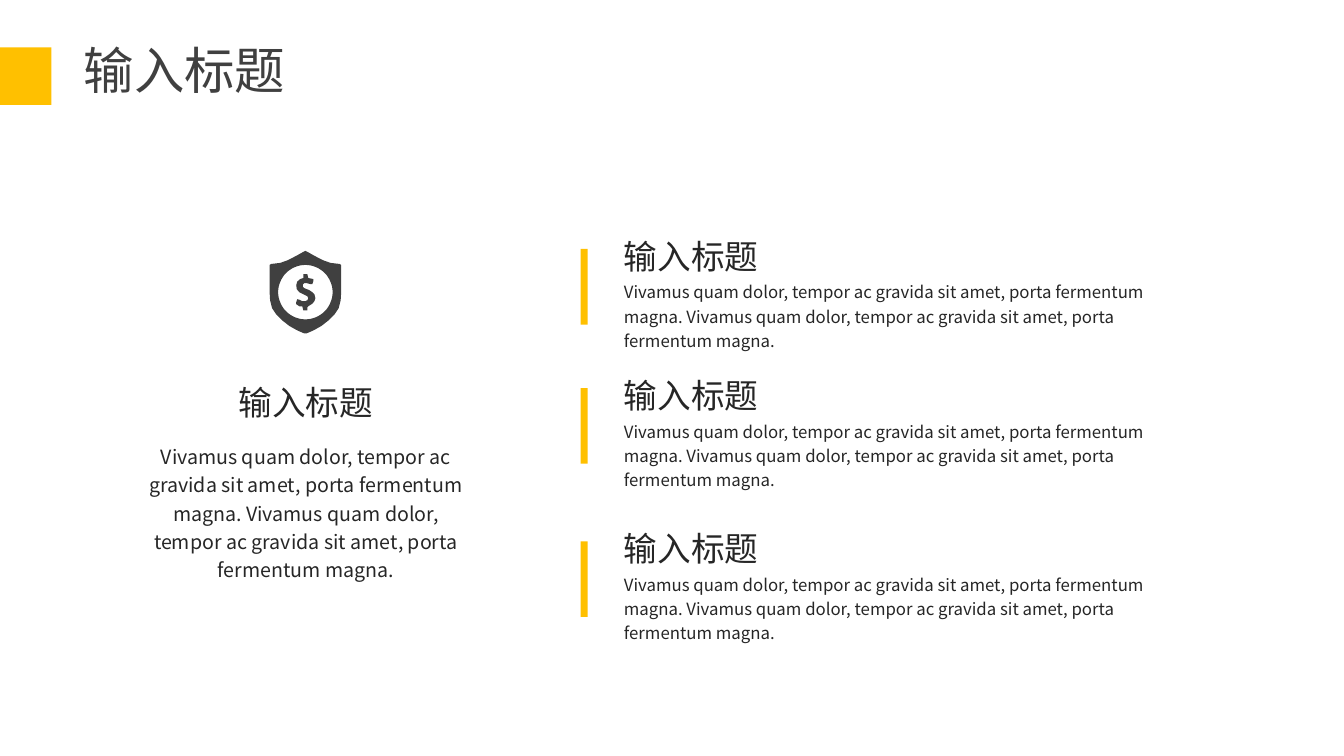
from math import cos, pi, sin

from lxml import etree
from pptx import Presentation
from pptx.dml.color import RGBColor
from pptx.enum import shapes, text
from pptx.oxml.ns import qn
from pptx.util import Inches, Pt

# Content
FONT = "Noto Sans CJK SC"
YELLOW, GREY, DARK = "FFC000", "404040", "262626"
HEADING = "输入标题"
SENTENCE = "Vivamus quam dolor, tempor ac gravida sit amet, porta fermentum magna."
BODY = f"{SENTENCE} {SENTENCE}"
ROWS = [(2.47, HEADING, BODY), (3.85, HEADING, BODY), (5.37, HEADING, BODY)]  # bar top, texts

# Icon outlines, in inches
SHIELD_CENTRE = 3.03
DISC_CENTRE, DISC_RADIUS = (3.03, 2.9), 0.27
SHIELD_RIGHT = [
    (3.03, 2.49), (3.05, 2.5), (3.12, 2.54), (3.21, 2.585), (3.28, 2.61), (3.37, 2.62),
    (3.385, 2.63), (3.385, 2.9), (3.38, 2.98), (3.36, 3.06), (3.32, 3.12), (3.26, 3.18),
    (3.19, 3.235), (3.11, 3.28), (3.04, 3.31)]
DOLLAR = [
    (3.02, 2.72), (3.05, 2.72), (3.06, 2.76), (3.11, 2.77), (3.11, 2.79), (3.1, 2.82),
    (3.08, 2.82), (3.04, 2.81), (3.02, 2.81), (3.005, 2.825), (3.005, 2.845), (3.02, 2.86),
    (3.07, 2.88), (3.1, 2.9), (3.12, 2.92), (3.13, 2.96), (3.12, 2.99), (3.1, 3.015),
    (3.06, 3.04), (3.05, 3.05), (3.05, 3.08), (3.01, 3.08), (3, 3.04), (2.97, 3.04),
    (2.94, 3.02), (2.94, 3), (2.95, 2.97), (2.97, 2.975), (3, 2.99), (3.03, 2.99),
    (3.05, 2.98), (3.06, 2.96), (3.05, 2.94), (3.01, 2.92), (2.97, 2.9), (2.945, 2.87),
    (2.94, 2.83), (2.95, 2.795), (2.98, 2.77), (3.01, 2.76), (3.01, 2.72)]


def color(value):
    return RGBColor.from_string(value)


def paint(sp, fill):
    sp.shadow.inherit = False
    sp.fill.solid()
    sp.fill.fore_color.rgb = color(fill)
    sp.line.fill.background()


def write(sp, words, size, fill=DARK, align=text.PP_ALIGN.LEFT, spacing=1.2):
    tf = sp.text_frame
    tf.word_wrap = True
    tf.auto_size = text.MSO_AUTO_SIZE.SHAPE_TO_FIT_TEXT
    tf.vertical_anchor = text.MSO_ANCHOR.TOP
    p = tf.paragraphs[0]
    p.alignment, p.line_spacing = align, spacing
    r = p.add_run()
    r.text = words
    r.font.size, r.font.name = Pt(size), FONT
    r.font.color.rgb = color(fill)
    etree.SubElement(r.font._element, qn("a:ea")).set("typeface", FONT)


def text_box(s, x, y, w, h, words, size, **style):
    write(s.shapes.add_textbox(*map(Inches, (x, y, w, h))), words, size, **style)


def block(s, x, y, w, h):
    paint(s.shapes.add_shape(shapes.MSO_SHAPE.RECTANGLE, *map(Inches, (x, y, w, h))), YELLOW)


def outline(group, *contours):
    contours = [[(x * 1000, y * 1000) for x, y in points] for points in contours]
    builder = group.shapes.build_freeform(*contours[0][0], scale=Inches(0.001))
    for i, points in enumerate(contours):
        if i:
            builder.move_to(*points[0])
        builder.add_line_segments(points[1:], close=True)
    paint(builder.convert_to_shape(), GREY)


prs = Presentation()
prs.slide_width, prs.slide_height = Inches(13.33), Inches(7.5)
s = prs.slides.add_slide(prs.slide_layouts[5])

# Title and its marker
block(s, 0, 0.47, 0.51, 0.57)
title = s.shapes.title
title.left, title.top, title.width, title.height = map(Inches, (0.73, 0.34, 2.28, 0.71))
write(title, HEADING, 36, fill=GREY, align=text.PP_ALIGN.JUSTIFY, spacing=1.0)

# Right column
for top, heading, body in ROWS:
    text_box(s, 6.09, top - 0.26, 5.94, 0.57, heading, 24)
    text_box(s, 6.09, top + 0.24, 5.94, 0.57, body, 12)
    block(s, 5.76, top, 0.07, 0.75)

# Shield icon: mirrored half outline with a round hole, and a dollar sign
icon = s.shapes.add_group_shape()
shield = SHIELD_RIGHT + [(2 * SHIELD_CENTRE - x, y) for x, y in reversed(SHIELD_RIGHT)]
disc = [(DISC_CENTRE[0] + DISC_RADIUS * cos(i * pi / 32),
         DISC_CENTRE[1] + DISC_RADIUS * sin(i * pi / 32)) for i in range(64)]
outline(icon, DOLLAR)
outline(icon, shield, disc)

# Left column
text_box(s, 1.67, 3.66, 2.73, 0.57, HEADING, 24, align=text.PP_ALIGN.CENTER)
text_box(s, 1.3, 4.32, 3.47, 1.21, BODY, 14, align=text.PP_ALIGN.CENTER)

prs.save("out.pptx")
